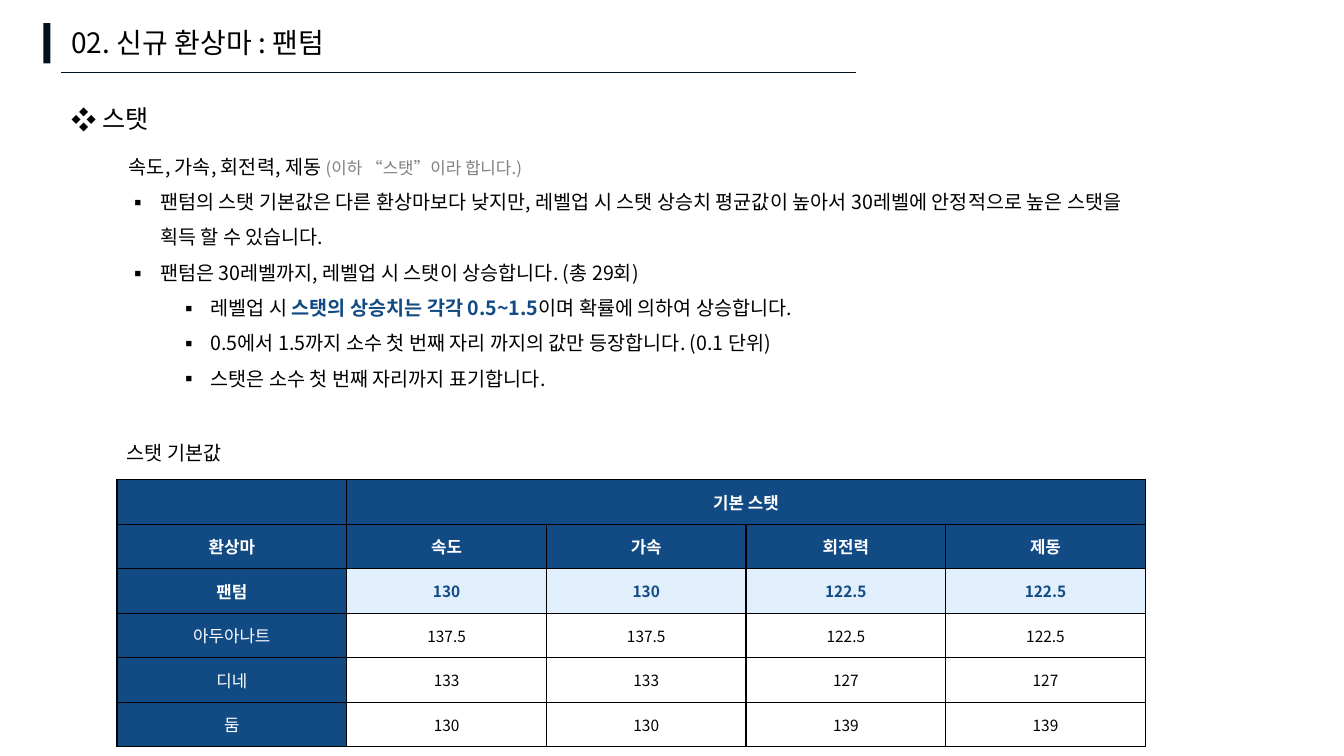
from lxml.etree import SubElement as Sub
from pptx import Presentation
from pptx.dml.color import RGBColor
from pptx.enum.shapes import MSO_CONNECTOR as Line, MSO_SHAPE as Shape
from pptx.enum.text import MSO_ANCHOR as Anchor, MSO_AUTO_SIZE as Fit, PP_ALIGN as Align
from pptx.oxml import parse_xml
from pptx.oxml.ns import nsdecls, qn
from pptx.util import Inches, Pt

FACE = "Noto Sans CJK KR"
INK, BLUE, PALE, GRAY, BLACK, WHITE = "03111C", "124A84", "E1EEFB", "808080", "000000", "FFFFFF"

TITLE = "02. 신규 환상마 : 팬텀"
HEAD = "스탯"
LABEL = "스탯 기본값"
NOTES = [
    (None, 0, [("속도, 가속, 회전력, 제동 ", {}),
               ("(이하 “스탯”이라 합니다.)", {"size": 12, "color": GRAY})]),
    ("▪", 0, [("팬텀의 스탯 기본값은 다른 환상마보다 낮지만, 레벨업 시 스탯 상승치 평균값이 높아서 "
               "30레벨에 안정적으로 높은 스탯을\n획득 할 수 있습니다.", {})]),
    ("▪", 0, [("팬텀은 30레벨까지, 레벨업 시 스탯이 상승합니다. (총 29회)", {})]),
    ("▪", 1, [("레벨업 시 ", {}),
              ("스탯의 상승치는 각각 0.5~1.5", {"color": BLUE, "bold": True}),
              ("이며 확률에 의하여 상승합니다.", {})]),
    ("▪", 1, [("0.5에서 1.5까지 소수 첫 번째 자리 까지의 값만 등장합니다. (0.1 단위)", {})]),
    ("▪", 1, [("스탯은 소수 첫 번째 자리까지 표기합니다.", {})]),
]
STATS = [
    ("", "기본 스탯", "", "", ""),
    ("환상마", "속도", "가속", "회전력", "제동"),
    ("팬텀", "130", "130", "122.5", "122.5"),
    ("아두아나트", "137.5", "137.5", "122.5", "122.5"),
    ("디네", "133", "133", "127", "127"),
    ("둠", "130", "130", "139", "139"),
]
FIRST, WIDE, TALL = 2.28, 1.98, 2.65 / 6


def rgb(code):
    """Turn a hex string into a colour."""
    return RGBColor.from_string(code)


def style(font, size=None, color=None, bold=None):
    """Apply the given traits to a font."""
    if size:
        font.size = Pt(size)
    if color:
        font.color.rgb = rgb(color)
    if bold is not None:
        font.bold = bold


def base(para, size, color=BLACK, bold=False):
    """Set the common font of a paragraph for Latin and Korean text."""
    para.font.name = FACE
    Sub(para.font._element, qn("a:ea"), typeface=FACE)
    style(para.font, size, color, bold)


def bullet(para, mark, level):
    """Give a paragraph its hanging bullet."""
    props = para._p.get_or_add_pPr()
    props.set("marL", str(Inches(0.31 + level * 0.5)))
    props.set("indent", str(Inches(-0.31)))
    Sub(props, qn("a:buFont"), typeface=FACE)
    Sub(props, qn("a:buChar"), char=mark)


def write(slide, area, paras, size, space=1.5):
    """Add a text box made of (mark, level, runs) paragraphs."""
    frame = slide.shapes.add_textbox(*map(Inches, area)).text_frame
    frame.word_wrap = True
    frame.auto_size = Fit.SHAPE_TO_FIT_TEXT
    for i, (mark, level, runs) in enumerate(paras):
        para = frame.add_paragraph() if i else frame.paragraphs[0]
        para.level = level
        para.line_spacing = space
        if mark:
            bullet(para, mark, level)
        base(para, size)
        for text, look in runs:
            for j, part in enumerate(text.split("\n")):
                if j:
                    para.add_line_break()
                run = para.add_run()
                run.text = part
                style(run.font, **look)


def edge(cell):
    """Draw the four borders of a cell."""
    props = cell._tc.get_or_add_tcPr()
    for i, side in enumerate("LRTB"):
        props.insert(i, parse_xml(
            f'<a:ln{side} {nsdecls("a")} w="{Pt(1)}"><a:solidFill>'
            f'<a:srgbClr val="{BLACK}"/></a:solidFill></a:ln{side}>'))


def look(row, col):
    """Return fill, size, text colour and weight for a table place."""
    if row < 2 or col == 0:
        return BLUE, 12, WHITE, row < 3
    return (PALE, 11, BLUE, True) if row == 2 else (None, 11, BLACK, False)


def grid(slide):
    """Add the table of base stats."""
    rows, cols = len(STATS), len(STATS[0])
    area = (1.16, 4.76, FIRST + WIDE * (cols - 1), TALL * rows)
    table = slide.shapes.add_table(rows, cols, *map(Inches, area)).table
    table.first_row = table.horz_banding = False
    for i, col in enumerate(table.columns):
        col.width = Inches(WIDE if i else FIRST)
    for r, line in enumerate(STATS):
        for c, text in enumerate(line):
            cell = table.cell(r, c)
            fill, size, color, bold = look(r, c)
            cell.text = text
            cell.vertical_anchor = Anchor.MIDDLE
            cell.margin_top = cell.margin_bottom = Inches(0.03)
            para = cell.text_frame.paragraphs[0]
            para.alignment = Align.CENTER
            base(para, size, color, bold)
            if fill:
                cell.fill.solid()
                cell.fill.fore_color.rgb = rgb(fill)
            else:
                cell.fill.background()
            edge(cell)
    table.cell(0, 1).merge(table.cell(0, cols - 1))


def main():
    """Build and save the slide."""
    deck = Presentation()
    deck.slide_width, deck.slide_height = Inches(13.33), Inches(7.5)
    slide = deck.slides.add_slide(deck.slide_layouts[6])

    bar = slide.shapes.add_shape(Shape.RECTANGLE, *map(Inches, (0.43, 0.23, 0.07, 0.4)))
    bar.shadow.inherit = False
    bar.fill.solid()
    bar.fill.fore_color.rgb = rgb(INK)
    bar.line.fill.background()

    write(slide, (0.61, 0.2, 4.69, 0.44), [(None, 0, [(TITLE, {})])], 20, 1)
    rule = slide.shapes.add_connector(Line.STRAIGHT, *map(Inches, (0.61, 0.72, 8.49, 0.72)))
    rule.line.color.rgb = rgb(INK)
    rule.line.width = Pt(0.25)
    Sub(rule._element.spPr, qn("a:effectLst"))

    write(slide, (0.61, 0.83, 11.05, 0.5), [("❖", 0, [(HEAD, {})])], 18)
    grid(slide)
    write(slide, (1.16, 4.21, 10.76, 0.41), [(None, 0, [(LABEL, {})])], 14)
    write(slide, (1.18, 1.37, 11.34, 2.89), NOTES, 14)
    deck.save("out.pptx")


if __name__ == "__main__":
    main()
